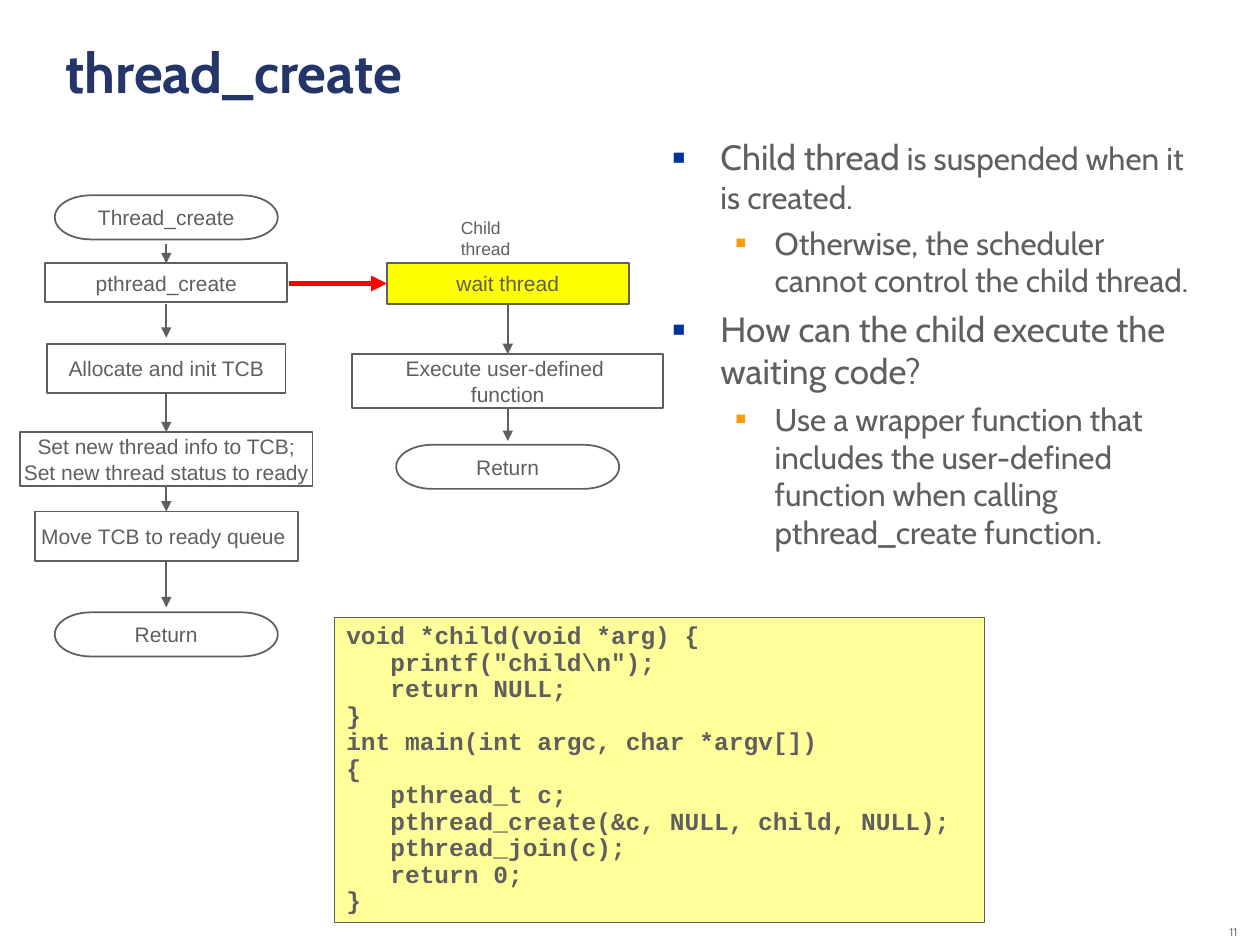
from lxml.etree import SubElement
from pptx import Presentation
from pptx.dml.color import RGBColor
from pptx.enum.shapes import MSO_CONNECTOR, MSO_SHAPE
from pptx.enum.text import MSO_ANCHOR, PP_ALIGN
from pptx.oxml.ns import qn
from pptx.util import Inches, Pt

NAVY = RGBColor(0x24, 0x35, 0x6A)
GRAY = RGBColor(0x5F, 0x5F, 0x5F)
LIGHT_GRAY = RGBColor(0x80, 0x80, 0x80)
WHITE = RGBColor(0xFF, 0xFF, 0xFF)
YELLOW = RGBColor(0xFF, 0xFF, 0x00)
PALE_YELLOW = RGBColor(0xFF, 0xFF, 0x99)
RED = RGBColor(0xFF, 0x00, 0x00)
BLUE = RGBColor(0x00, 0x33, 0x99)
ORANGE = RGBColor(0xFF, 0x99, 0x00)

PARENT_X = 1.32
CHILD_X = 4.03
CALL_Y = 2.25
END_SIZE = (1.77, 0.35)
CODE_INDENT = 0.35

PARENT_STEPS = [
    (["pthread_create"], 2.09, 1.92, 0.31),
    (["Allocate and init TCB"], 2.73, 1.89, 0.39),
    (["Set new thread info to TCB;", "Set new thread status to ready"], 3.43, 2.32, 0.43),
    (["Move TCB to ready queue "], 4.06, 2.09, 0.39),
]
PARENT_ARROWS = [(1.94, 2.09), (2.41, 2.68), (3.12, 3.43), (3.86, 4.06), (4.46, 4.82)]
CHILD_ARROWS = [(2.41, 2.81), (3.24, 3.5)]

POINTS = [
    (0, 4.5, [("Child thread", 20), (" is suspended when it is created.", 18)]),
    (1, 4.5, [("Otherwise, the scheduler cannot control the child thread.", 18)]),
    (0, 5, [("How can the child execute the waiting code?", 20)]),
    (1, 4.5, [("Use a wrapper function that includes the user-defined function "
               "when calling pthread_create function.", 18)]),
]
BULLET_LEVELS = [(0.38, -0.38, BLUE, 60), (0.81, -0.31, ORANGE, 55)]

CODE = [
    (0, "void *child(void *arg) {"),
    (1, 'printf("child\\n");'),
    (1, "return NULL;"),
    (0, "}"),
    (0, "int main(int argc, char *argv[])"),
    (0, "{"),
    (1, "pthread_t c;"),
    (1, "pthread_create(&c, NULL, child, NULL);"),
    (1, "pthread_join(c);"),
    (1, "return 0;"),
    (0, "}"),
]


def add_run(paragraph, text, size, font="Arial", color=GRAY, bold=False):
    run = paragraph.add_run()
    run.text = text
    run.font.size = Pt(size)
    run.font.name = font
    run.font.bold = bold
    run.font.color.rgb = color


def add_paragraphs(frame, count):
    return [frame.paragraphs[0]] + [frame.add_paragraph() for _ in range(count - 1)]


def add_label(slide, text, box, size, font="Arial", color=GRAY, bold=False,
              align=PP_ALIGN.LEFT, anchor=MSO_ANCHOR.TOP, wrap=True):
    frame = slide.shapes.add_textbox(*map(Inches, box)).text_frame
    frame.word_wrap = wrap
    frame.vertical_anchor = anchor
    paragraph = frame.paragraphs[0]
    paragraph.alignment = align
    add_run(paragraph, text, size, font, color, bold)
    return paragraph


def add_box(slide, kind, box, fill, line_width):
    shape = slide.shapes.add_shape(kind, *map(Inches, box))
    shape.shadow.inherit = False
    shape.fill.solid()
    shape.fill.fore_color.rgb = fill
    shape.line.color.rgb = GRAY
    shape.line.width = Pt(line_width)
    return shape.text_frame


def add_step(slide, lines, center, top, width, height,
             kind=MSO_SHAPE.RECTANGLE, fill=WHITE):
    frame = add_box(slide, kind, (center - width / 2, top, width, height), fill, 1)
    frame.word_wrap = False
    frame.vertical_anchor = MSO_ANCHOR.MIDDLE
    for paragraph, line in zip(add_paragraphs(frame, len(lines)), lines):
        paragraph.alignment = PP_ALIGN.CENTER
        add_run(paragraph, line, 12)


def add_terminator(slide, text, center, top):
    add_step(slide, [text], center, top, *END_SIZE, kind=MSO_SHAPE.FLOWCHART_TERMINATOR)


def add_arrow(slide, start, end, color=GRAY, width=1):
    arrow = slide.shapes.add_connector(MSO_CONNECTOR.STRAIGHT, *map(Inches, start + end))
    arrow.line.color.rgb = color
    arrow.line.width = Pt(width)
    properties = arrow._element.spPr
    SubElement(properties.find(qn("a:ln")), qn("a:tailEnd"), type="triangle")
    SubElement(properties, qn("a:effectLst"))


def set_indent(paragraph, left, first=0):
    properties = paragraph._p.get_or_add_pPr()
    properties.set("marL", str(Inches(left)))
    properties.set("indent", str(Inches(first)))
    return properties


def add_bullet(paragraph, level):
    left, first, color, percent = BULLET_LEVELS[level]
    paragraph.level = level
    properties = set_indent(paragraph, left, first)
    bullet_color = SubElement(properties, qn("a:buClr"))
    SubElement(bullet_color, qn("a:srgbClr"), val=str(color))
    SubElement(properties, qn("a:buSzPct"), val=str(percent * 1000))
    SubElement(properties, qn("a:buFont"), typeface="Arial")
    SubElement(properties, qn("a:buChar"), char="■")


def add_points(slide):
    frame = slide.shapes.add_textbox(*map(Inches, (5.24, 1.03, 4.33, 5.67))).text_frame
    frame.word_wrap = True
    for paragraph, (level, space, runs) in zip(add_paragraphs(frame, len(POINTS)), POINTS):
        paragraph.space_before = Pt(space)
        add_bullet(paragraph, level)
        for text, size in runs:
            add_run(paragraph, text, size, "Cabin")


def add_code(slide):
    frame = add_box(slide, MSO_SHAPE.RECTANGLE, (2.65, 4.9, 5.16, 2.42), PALE_YELLOW, 0.25)
    frame.word_wrap = True
    frame.vertical_anchor = MSO_ANCHOR.TOP
    for paragraph, (depth, line) in zip(add_paragraphs(frame, len(CODE)), CODE):
        paragraph.alignment = PP_ALIGN.LEFT
        paragraph.line_spacing = 0.9
        set_indent(paragraph, depth * CODE_INDENT)
        add_run(paragraph, line, 14, "Courier New", bold=True)


def add_parent_flow(slide):
    add_terminator(slide, "Thread_create", PARENT_X, 1.55)
    for lines, top, width, height in PARENT_STEPS:
        add_step(slide, lines, PARENT_X, top, width, height)
    add_terminator(slide, "Return", PARENT_X, 4.86)
    for start, end in PARENT_ARROWS:
        add_arrow(slide, (PARENT_X, start), (PARENT_X, end))


def add_child_flow(slide):
    add_label(slide, "Child thread", (3.56, 1.67, 0.94, 0.27), 10, wrap=False)
    add_step(slide, ["wait thread"], CHILD_X, 2.09, 1.92, 0.32, fill=YELLOW)
    add_step(slide, ["Execute user-defined ", "function"], CHILD_X, 2.81, 2.47, 0.43)
    add_terminator(slide, "Return", CHILD_X, 3.53)
    for start, end in CHILD_ARROWS:
        add_arrow(slide, (CHILD_X, start), (CHILD_X, end))


def main():
    deck = Presentation()
    deck.slide_width, deck.slide_height = Inches(10), Inches(7.5)
    slide = deck.slides.add_slide(deck.slide_layouts[6])
    page_number = add_label(slide, "11", (8.92, 7.25, 1, 0.25), 6.6, "Cabin", LIGHT_GRAY,
                            align=PP_ALIGN.RIGHT, anchor=MSO_ANCHOR.BOTTOM)
    page_number.line_spacing = 0.8
    add_label(slide, "thread_create", (0.42, 0.25, 9.03, 1.22), 32, "Cabin", NAVY, bold=True)
    add_parent_flow(slide)
    add_child_flow(slide)
    add_arrow(slide, (2.29, CALL_Y), (3.07, CALL_Y), RED, 3)
    add_points(slide)
    add_code(slide)
    deck.save("out.pptx")


if __name__ == "__main__":
    main()
